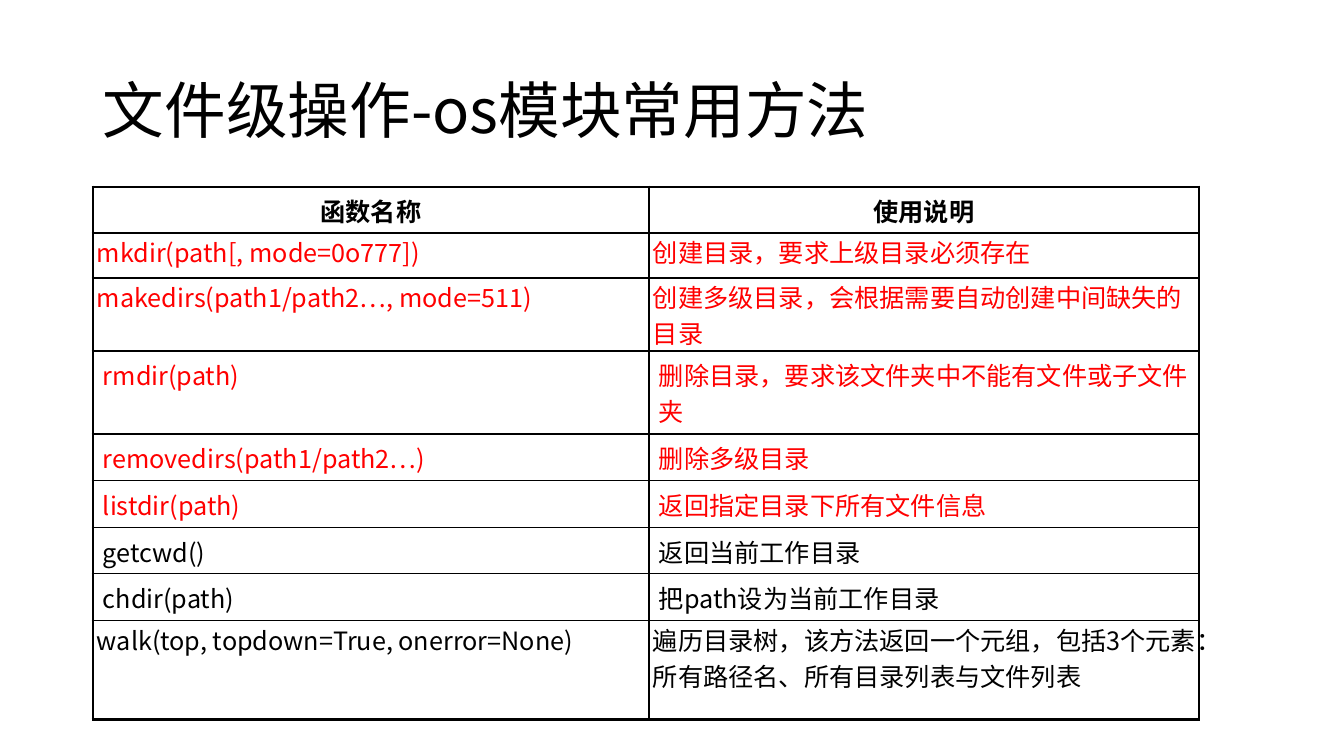
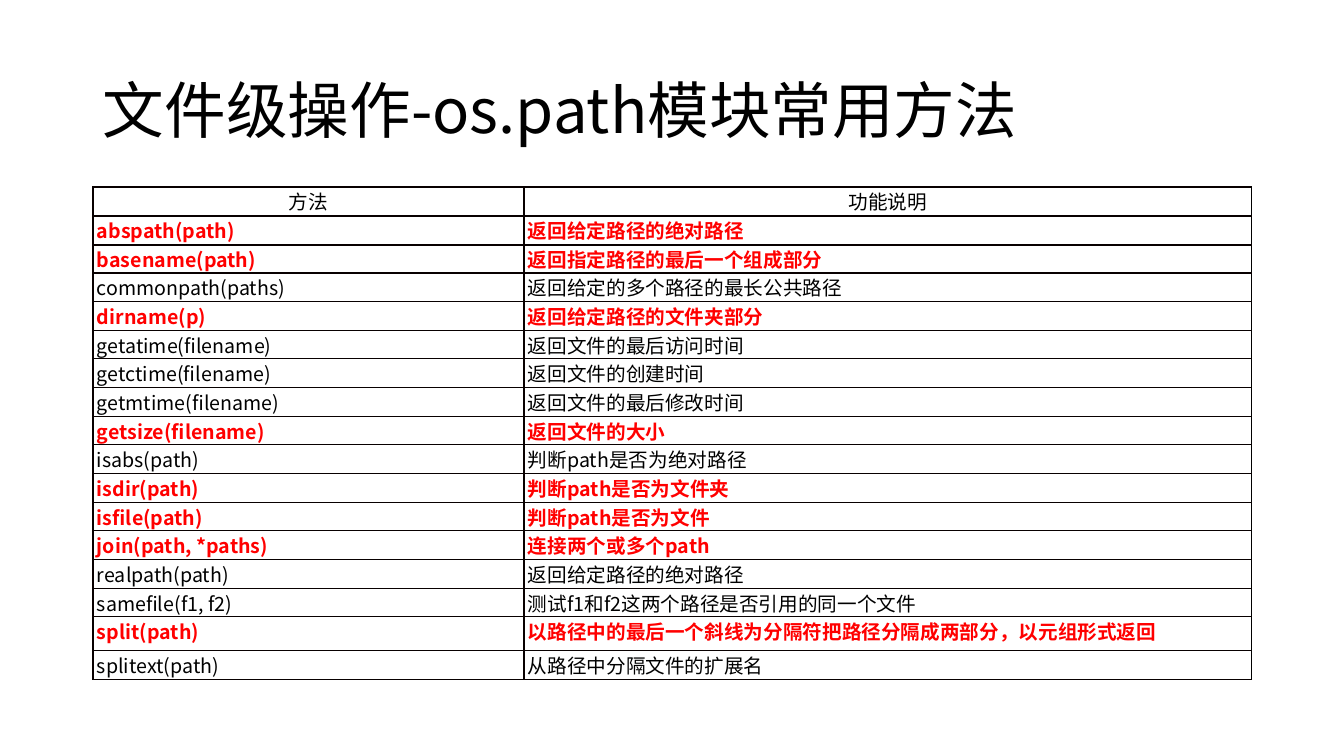
from dataclasses import dataclass

from lxml.etree import SubElement
from pptx import Presentation
from pptx.dml.color import RGBColor
from pptx.enum.text import MSO_ANCHOR, PP_ALIGN
from pptx.oxml.ns import qn
from pptx.util import Pt

PIXEL = 914400 / 100.8
PAGE_WIDTH, PAGE_HEIGHT = 1344, 756
TITLE_BOX = (93, 41, 1159, 146)
TABLE_LEFT, TABLE_TOP = 93, 187
TIGHT = (4, 0, 0, 0)
FLUSH = (0, 0, 0, 0)
ROOMY = (10, 5, 10, 5)


@dataclass(frozen=True)
class Theme:
    """Colours, font and type sizes of the deck."""
    font: str = "Noto Sans CJK SC"
    text: str = "000000"
    accent: str = "FF0000"
    rule: str = "080000"
    title_size: int = 44
    large_size: int = 18
    small_size: int = 14


@dataclass(frozen=True)
class TableStyle:
    """Type, cell and border rules of one table."""
    size: int
    header_bold: bool
    accent_bold: bool
    header_insets: tuple
    inner: tuple
    frame: dict
    space_before: int = 0


THEME = Theme()
THICK = (THEME.text, 2.25)
FRAMED = TableStyle(THEME.large_size, True, False, ROOMY, (THEME.text, 1),
                    dict.fromkeys("LRTB", THICK), 20)
COMPACT = TableStyle(THEME.small_size, False, True, FLUSH, (THEME.rule, 1),
                     {"R": (THEME.text, 0.75)})

MODULE_COLUMNS = (556, 550)
MODULE_ROWS = (
    (46, ROOMY, False, "函数名称", "使用说明"),
    (45, TIGHT, True, "mkdir(path[, mode=0o777])", "创建目录，要求上级目录必须存在"),
    (73, TIGHT, True, "makedirs(path1/path2…, mode=511)",
     "创建多级目录，会根据需要自动创建中间缺失的目录"),
    (83, ROOMY, True, "rmdir(path)", "删除目录，要求该文件夹中不能有文件或子文件夹"),
    (47, ROOMY, True, "removedirs(path1/path2…)", "删除多级目录"),
    (47, ROOMY, True, "listdir(path)", "返回指定目录下所有文件信息"),
    (46, ROOMY, False, "getcwd()", "返回当前工作目录"),
    (47, ROOMY, False, "chdir(path)", "把path设为当前工作目录"),
    (99, TIGHT, False, "walk(top, topdown=True, onerror=None)",
     "遍历目录树，该方法返回一个元组，包括3个元素：所有路径名、所有目录列表与文件列表"),
)

PATH_COLUMNS = (431, 728)
PATH_METHODS = (
    (False, "方法", "功能说明"),
    (True, "abspath(path)", "返回给定路径的绝对路径"),
    (True, "basename(path)", "返回指定路径的最后一个组成部分"),
    (False, "commonpath(paths)", "返回给定的多个路径的最长公共路径"),
    (True, "dirname(p)", "返回给定路径的文件夹部分"),
    (False, "getatime(filename)", "返回文件的最后访问时间"),
    (False, "getctime(filename)", "返回文件的创建时间"),
    (False, "getmtime(filename)", "返回文件的最后修改时间"),
    (True, "getsize(filename)", "返回文件的大小"),
    (False, "isabs(path)", "判断path是否为绝对路径"),
    (True, "isdir(path)", "判断path是否为文件夹"),
    (True, "isfile(path)", "判断path是否为文件"),
    (True, "join(path, *paths)", "连接两个或多个path"),
    (False, "realpath(path)", "返回给定路径的绝对路径"),
    (False, "samefile(f1, f2)", "测试f1和f2这两个路径是否引用的同一个文件"),
    (True, "split(path)", "以路径中的最后一个斜线为分隔符把路径分隔成两部分，以元组形式返回"),
    (False, "splitext(path)", "从路径中分隔文件的扩展名"),
)


def path_row_height(index, method):
    """Average 28.67 pixels a row in whole pixels, with a taller split row."""
    if method == "split(path)":
        return 34
    return 28 if index % 3 == 2 else 29


PATH_ROWS = [(path_row_height(index, method), TIGHT, accent, method, use)
             for index, (accent, method, use) in enumerate(PATH_METHODS)]


def emu(pixels):
    """Turn pixels into EMU."""
    return round(pixels * PIXEL)


def assign(target, values):
    """Set every attribute named in a dict of format values."""
    for name, value in values.items():
        setattr(target, name, value)


def write(para, text, size, color, bold=False):
    """Add one formatted span to a paragraph."""
    span = para.add_run()
    span.text = text
    assign(span.font, {"name": THEME.font, "size": Pt(size), "bold": bold})
    span.font.color.rgb = RGBColor.from_string(color)
    SubElement(span.font._element, qn("a:ea"), typeface=THEME.font)


def add_title(page, box, text):
    """Place the slide title in its box."""
    frame = page.shapes.add_textbox(*map(emu, box)).text_frame
    assign(frame, {"word_wrap": True, "vertical_anchor": MSO_ANCHOR.MIDDLE})
    para = frame.paragraphs[0]
    para.line_spacing = 0.9
    write(para, text, THEME.title_size, THEME.text)


def draw_borders(cell, edges, style):
    """Draw the four borders of a cell, using the frame on outer edges."""
    properties = cell._tc.get_or_add_tcPr()
    for side in "LRTB":
        color, width = style.frame.get(side, style.inner) if side in edges else style.inner
        line = SubElement(properties, qn(f"a:ln{side}"), w=str(Pt(width)))
        fill = SubElement(line, qn("a:solidFill"))
        SubElement(fill, qn("a:srgbClr"), val=color)


def fill_cell(cell, text, insets, accent, header, style):
    """Write the text of one table cell."""
    sides = ("margin_left", "margin_top", "margin_right", "margin_bottom")
    assign(cell, dict(zip(sides, map(emu, insets))))
    cell.fill.background()
    para = cell.text_frame.paragraphs[0]
    para.alignment = PP_ALIGN.CENTER if header else PP_ALIGN.LEFT
    if style.space_before:
        spacing = SubElement(para._p.get_or_add_pPr(), qn("a:spcBef"))
        SubElement(spacing, qn("a:spcPct"), val=str(style.space_before * 1000))
    bold = style.header_bold if header else accent and style.accent_bold
    write(para, text, style.size, THEME.accent if accent else THEME.text, bold)


def add_method_table(page, left, top, columns, rows, style):
    """Place a table of methods and their uses."""
    box = (left, top, sum(columns), sum(row[0] for row in rows))
    table = page.shapes.add_table(len(rows), len(columns), *map(emu, box)).table
    assign(table, {"first_row": False, "horz_banding": False})
    for column, width in zip(table.columns, columns):
        column.width = emu(width)
    for y, (height, insets, accent, *texts) in enumerate(rows):
        table.rows[y].height = emu(height)
        for x, text in enumerate(texts):
            cell = table.cell(y, x)
            outer = {"L": x == 0, "R": x == len(columns) - 1,
                     "T": y == 0, "B": y == len(rows) - 1}
            draw_borders(cell, [side for side in outer if outer[side]], style)
            fill_cell(cell, text, insets if y else style.header_insets,
                      accent, y == 0, style)


def add_method_page(deck, title, columns, rows, style):
    """Add a slide with a title above a method table."""
    page = deck.slides.add_slide(deck.slide_layouts[6])
    add_title(page, TITLE_BOX, title)
    add_method_table(page, TABLE_LEFT, TABLE_TOP, columns, rows, style)


def main():
    """Build and save the deck."""
    deck = Presentation()
    assign(deck, {"slide_width": emu(PAGE_WIDTH), "slide_height": emu(PAGE_HEIGHT)})
    add_method_page(deck, "文件级操作-os模块常用方法", MODULE_COLUMNS, MODULE_ROWS, FRAMED)
    add_method_page(deck, "文件级操作-os.path模块常用方法", PATH_COLUMNS, PATH_ROWS, COMPACT)
    deck.save("out.pptx")


main()
